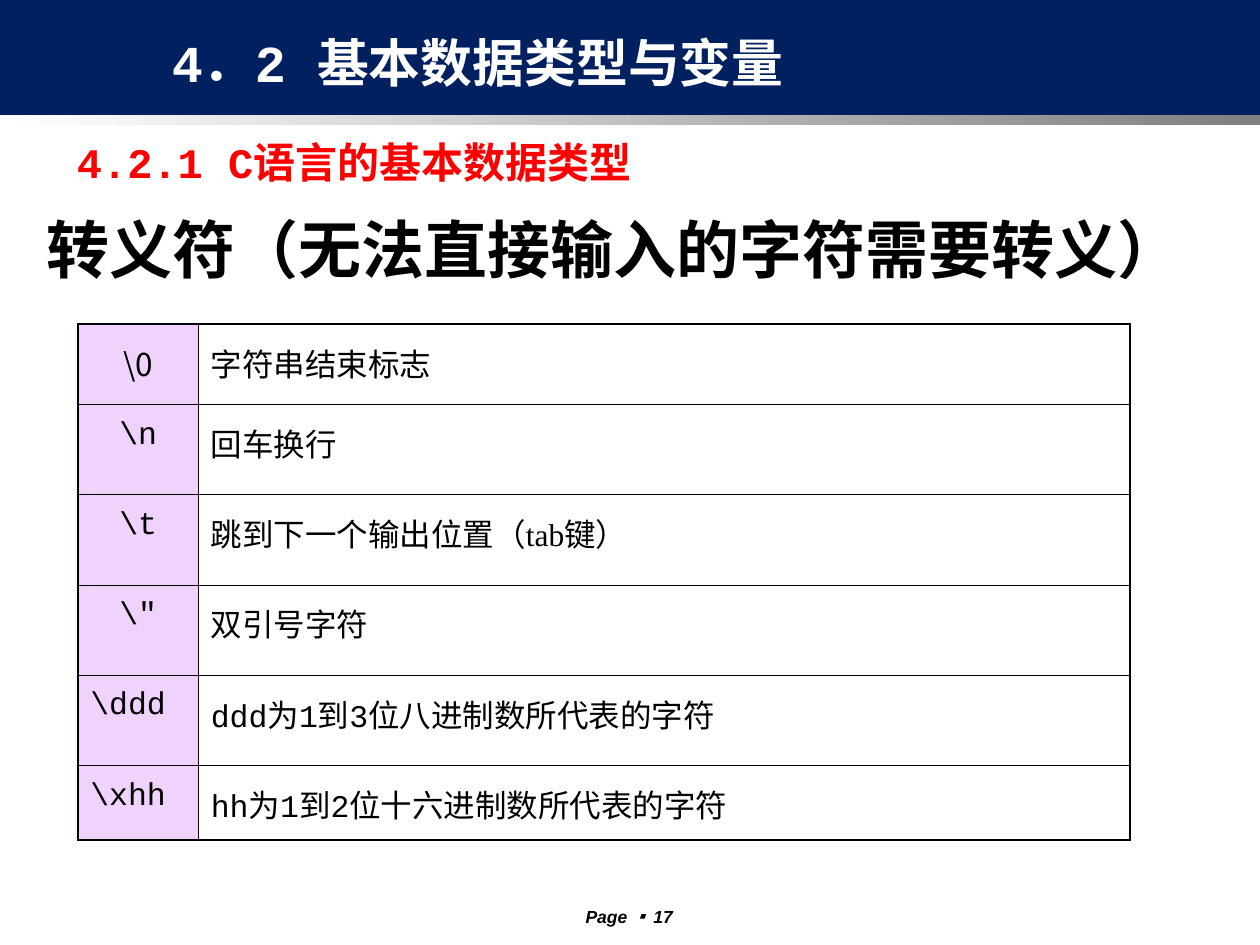
"""Build a slide listing the escape characters of the C language."""
import pptx
import pptx.dml.color
import pptx.enum.shapes
import pptx.enum.text
import pptx.oxml
import pptx.oxml.ns
import pptx.util

Cm = pptx.util.Cm
Pt = pptx.util.Pt
ALIGN = pptx.enum.text.PP_ALIGN
ANCHOR = pptx.enum.text.MSO_ANCHOR

COLORS = {
    "navy": "002060",
    "white": "FFFFFF",
    "gray": "808080",
    "red": "FF0000",
    "black": "000000",
    "lilac": "EFD3FD",
}
MONO, SERIF, SANS, CJK = "Courier New", "Times New Roman", "Arial", "Noto Sans CJK SC"
SYMBOL = "Noto Sans CJK JP"
THIN, THICK = 0.45, 1.08


def rgb(name):
    return pptx.dml.color.RGBColor.from_string(COLORS[name])


class Deck:
    """Holds the style and the current slide."""

    def __init__(self, prs):
        self.slide = prs.slides.add_slide(prs.slide_layouts[5])
        self.shapes = self.slide.shapes

    def add_runs(self, tf, runs, size, color="black", bold=False, italic=False,
                 align=ALIGN.LEFT, spacing=1.0, anchor=ANCHOR.TOP):
        tf.word_wrap = True
        tf.vertical_anchor = anchor
        p = tf.paragraphs[0]
        p.alignment = align
        p.line_spacing = spacing
        for text, font in runs:
            r = p.add_run()
            r.text = text
            r.font.size = Pt(size)
            r.font.bold = bold
            r.font.italic = italic
            r.font.color.rgb = rgb(color)
            r.font.name = font
            ea = pptx.oxml.parse_xml(
                f'<a:ea {pptx.oxml.ns.nsdecls("a")} typeface="{CJK}"/>')
            r.font._element.append(ea)

    def band(self, top, height, *colors):
        sp = self.shapes.add_shape(
            pptx.enum.shapes.MSO_SHAPE.RECTANGLE, 0, Cm(top), Cm(25.4), Cm(height))
        sp.shadow.inherit = False
        sp.line.fill.background()
        if len(colors) == 1:
            sp.fill.solid()
            sp.fill.fore_color.rgb = rgb(colors[0])
        else:
            sp.fill.gradient()
            sp.fill.gradient_angle = 0
            for stop, color in zip(sp.fill.gradient_stops, colors):
                stop.color.rgb = rgb(color)

    def title(self, box, runs, size, **style):
        sp = self.shapes.title
        sp.left, sp.top, sp.width, sp.height = map(Cm, box)
        self.shapes._spTree.append(sp._element)
        sp.text_frame.auto_size = pptx.enum.text.MSO_AUTO_SIZE.NONE
        self.add_runs(sp.text_frame, runs, size, **style)

    def text(self, box, runs, size, **style):
        sp = self.shapes.add_textbox(*map(Cm, box))
        self.add_runs(sp.text_frame, runs, size, **style)

    def border(self, cell, widths):
        tc_pr = cell._tc.get_or_add_tcPr()
        for i, (side, width) in enumerate(zip("LRTB", widths)):
            tc_pr.insert(i, pptx.oxml.parse_xml(
                f'<a:ln{side} {pptx.oxml.ns.nsdecls("a")} w="{Pt(width)}"><a:solidFill>'
                f'<a:srgbClr val="{COLORS["black"]}"/></a:solidFill></a:ln{side}>'))

    def table(self, left, top, widths, heights, rows, size):
        frame = self.shapes.add_table(len(rows), len(widths), Cm(left), Cm(top),
                                      Cm(sum(widths)), Cm(sum(heights)))
        tbl = frame.table
        tbl.first_row = tbl.horz_banding = False
        for column, width in zip(tbl.columns, widths):
            column.width = Cm(width)
        for row, height in zip(tbl.rows, heights):
            row.height = Cm(height)
        last_row, last_col = len(rows) - 1, len(widths) - 1
        for i, (align, *cells) in enumerate(rows):
            for j, runs in enumerate(cells):
                cell = tbl.cell(i, j)
                cell.margin_left = cell.margin_right = Cm(0.25)
                cell.margin_top = cell.margin_bottom = Cm(0.13)
                cell.fill.solid()
                cell.fill.fore_color.rgb = rgb("white" if j else "lilac")
                outer = (j == 0, j == last_col, i == 0, i == last_row)
                self.border(cell, [THICK if edge else THIN for edge in outer])
                self.add_runs(cell.text_frame, runs, size, spacing=1.2,
                              align=ALIGN.LEFT if j else align)


def main():
    prs = pptx.Presentation()
    prs.slide_width, prs.slide_height = Cm(25.4), Cm(19.05)
    deck = Deck(prs)
    deck.band(0, 2.32, "navy")
    deck.band(2.32, 0.2, "white", "gray")
    deck.text((10.69, 18.14, 3.99, 0.56),
              [("Page ", SANS), ("▪ ", SYMBOL), ("17", SANS)], 10,
              bold=True, italic=True, align=ALIGN.CENTER)
    deck.text((1.3, 2.52, 13.61, 1.37), [("4.2.1 C语言的基本数据类型", MONO)], 24,
              color="red", bold=True, spacing=1.1)
    rows = [
        (ALIGN.CENTER, [("\\0", CJK)], [("字符串结束标志", CJK)]),
        (ALIGN.CENTER, [("\\n", MONO)], [("回车换行", SERIF)]),
        (ALIGN.CENTER, [("\\t", MONO)], [("跳到下一个输出位置（tab键）", SERIF)]),
        (ALIGN.CENTER, [("\\\"", MONO)], [("双引号字符", SERIF)]),
        (ALIGN.LEFT, [("\\ddd", MONO)],
         [("ddd", MONO), ("为", SERIF), ("1", MONO), ("到", SERIF), ("3", MONO),
          ("位八进制数所代表的字符", SERIF)]),
        (ALIGN.LEFT, [("\\xhh", MONO)], [("hh为1到2位十六进制数所代表的字符", MONO)]),
    ]
    deck.table(1.57, 6.53, [2.43, 18.78], [1.62] + [1.82] * 4 + [1.5], rows, 18)
    deck.title((1.57, 0.53, 16.13, 1.6), [("4．2 基本数据类型与变量", MONO)], 29.6,
               color="white", bold=True, align=ALIGN.CENTER, spacing=0.9,
               anchor=ANCHOR.MIDDLE)
    deck.text((0.69, 4.11, 24, 1.78), [("转义符（无法直接输入的字符需要转义）", SANS)], 36,
              bold=True)
    prs.save("out.pptx")


if __name__ == "__main__":
    main()
